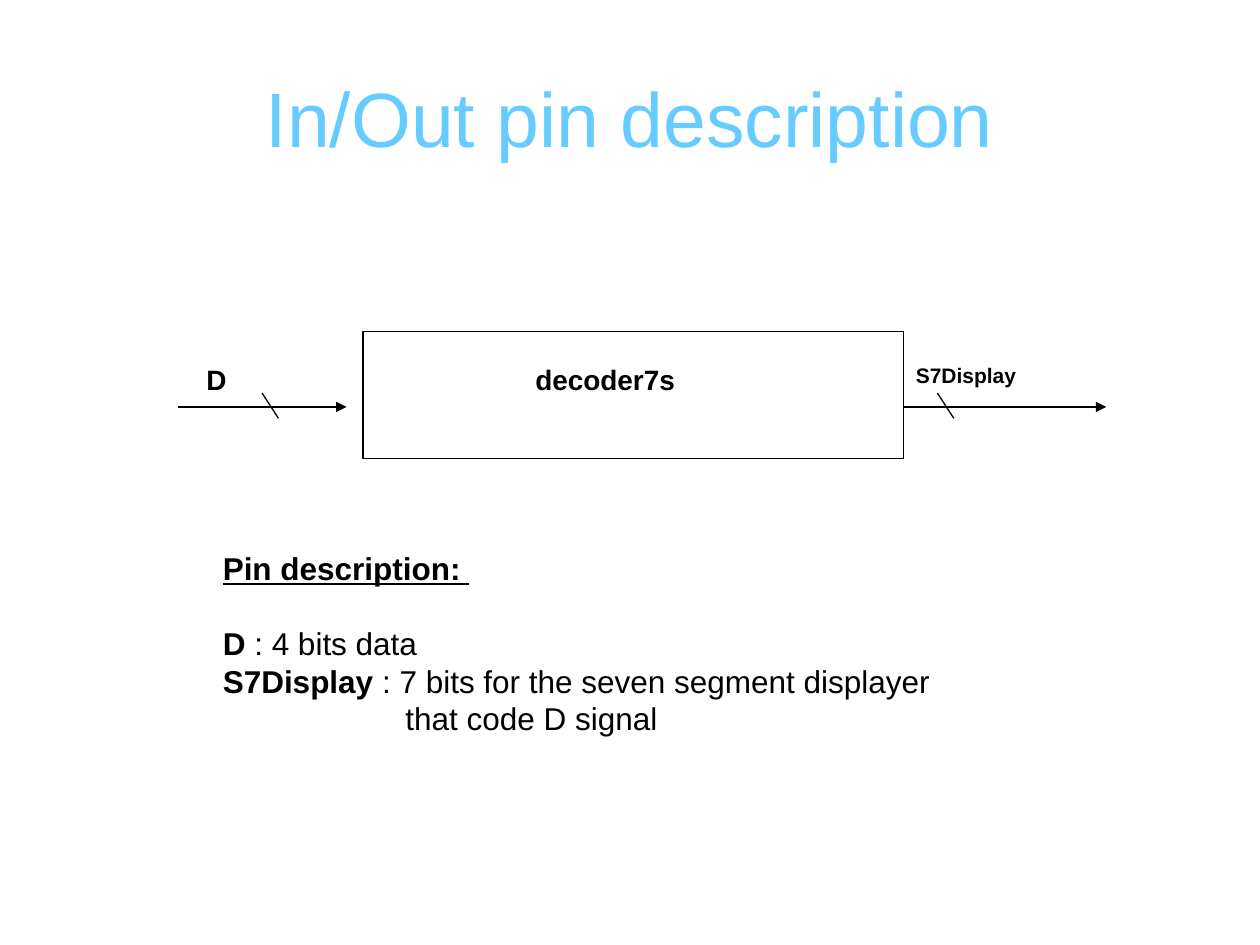
from lxml import etree
from pptx import Presentation
from pptx.dml.color import RGBColor
from pptx.enum import shapes, text
from pptx.oxml import ns
from pptx import util as u

FONT = "Arial"
BLACK = "000000"


def color(value):
    return RGBColor.from_string(value)


def set_font(font, size, fill=BLACK, bold=False):
    font.name = FONT
    font.size = u.Pt(size)
    font.bold = bold
    font.color.rgb = color(fill)


def place_title(slide, left, top, width, height):
    title = slide.shapes.title
    title.left, title.top = u.Inches(left), u.Inches(top)
    title.width, title.height = u.Inches(width), u.Inches(height)
    title.text_frame.text = "In/Out pin description"
    title.text_frame.vertical_anchor = text.MSO_ANCHOR.MIDDLE
    para = title.text_frame.paragraphs[0]
    para.alignment = text.PP_ALIGN.CENTER
    set_font(para.font, 44, "66CCFF")


def add_text_box(slide, left, top, width, height):
    box = slide.shapes.add_textbox(
        u.Inches(left), u.Inches(top), u.Inches(width), u.Inches(height))
    box.text_frame.word_wrap = True
    return box.text_frame


def add_label(slide, words, size, left, top, width):
    para = add_text_box(slide, left, top, width, 0.6).paragraphs[0]
    para.text = words
    set_font(para.font, size, bold=True)


def add_line(slide, start_x, start_y, end_x, end_y, arrow=False):
    line = slide.shapes.add_connector(
        shapes.MSO_CONNECTOR.STRAIGHT, u.Inches(start_x), u.Inches(start_y),
        u.Inches(end_x), u.Inches(end_y))
    line.line.color.rgb = color(BLACK)
    line.line.width = u.Pt(0.75)
    if arrow:
        outline = line.line._get_or_add_ln()
        etree.SubElement(outline, ns.qn("a:tailEnd"), type="triangle")
    etree.SubElement(line._element.spPr, ns.qn("a:effectLst"))


def add_bus(slide, start, end, slash, middle):
    add_line(slide, start, middle, end, middle, arrow=True)
    add_line(slide, slash, middle - 0.11, slash + 0.13, middle + 0.09)


def add_decoder(slide, left, top, width, height):
    block = slide.shapes.add_shape(
        shapes.MSO_SHAPE.RECTANGLE, u.Inches(left), u.Inches(top),
        u.Inches(width), u.Inches(height))
    block.shadow.inherit = False
    block.fill.solid()
    block.fill.fore_color.rgb = color("FFFFFF")
    block.line.color.rgb = color(BLACK)
    block.line.width = u.Pt(0.75)

    right = left + width
    label_top = top + 0.2
    add_label(slide, "D", 16, left - 1.34, label_top, 1.34)
    add_label(slide, "decoder7s", 16, left + 1.27, label_top, 2.28)
    add_label(slide, "S7Display", 12, right, label_top, 2.01)

    middle = top + 0.6
    add_bus(slide, left - 1.47, left - 0.13, left - 0.8, middle)
    add_bus(slide, right, right + 1.61, right + 0.27, middle)


def add_pin_description(slide, left, top, width, height):
    frame = add_text_box(slide, left, top, width, height)
    lines = [
        ("Pin description: ", ""),
        ("D", " : 4 bits data"),
        ("S7Display", " : 7 bits for the seven segment displayer"),
        ("", "that code D signal"),
    ]
    for index, (name, meaning) in enumerate(lines):
        para = frame.paragraphs[0] if index == 0 else frame.add_paragraph()
        para.line_spacing = u.Pt(21.5)
        set_font(para.font, 18)
        for words, bold in ((name, True), (meaning, False)):
            if words:
                span = para.add_run()
                span.text = words
                span.font.bold = bold
    heading, first_pin, *_, continuation = frame.paragraphs
    heading.runs[0].font.underline = True
    first_pin.space_before = u.Pt(21.5)
    continuation._p.get_or_add_pPr().set("marL", str(u.Inches(1.45)))


def main():
    deck = Presentation()
    deck.slide_width, deck.slide_height = u.Inches(10), u.Inches(7.5)
    slide = deck.slides.add_slide(deck.slide_layouts[5])
    place_title(slide, 0.5, 0.3, 9, 1.25)
    add_decoder(slide, 2.88, 2.63, 4.29, 1.01)
    add_pin_description(slide, 1.67, 4.31, 6.83, 1.9)
    deck.save("out.pptx")


if __name__ == "__main__":
    main()
